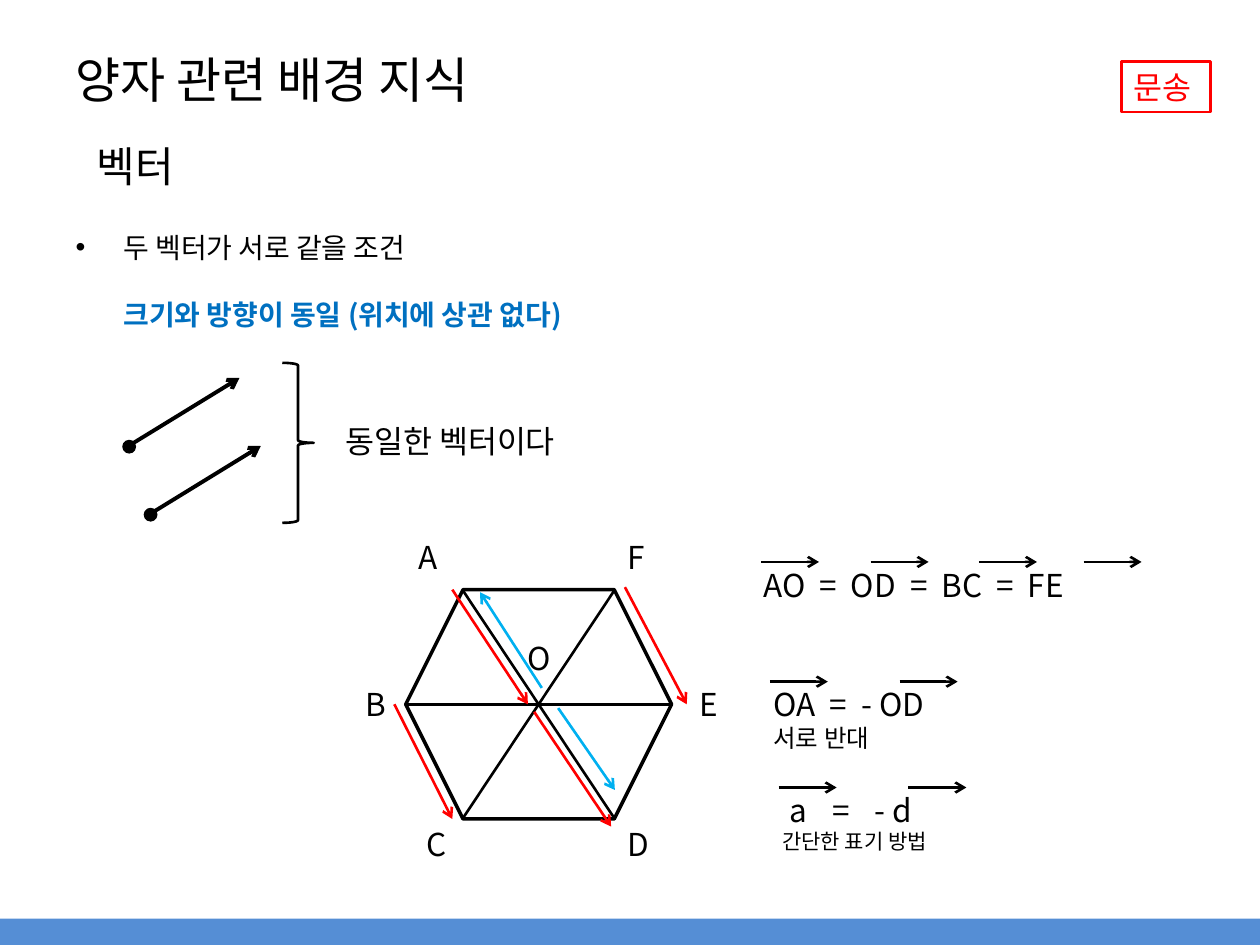
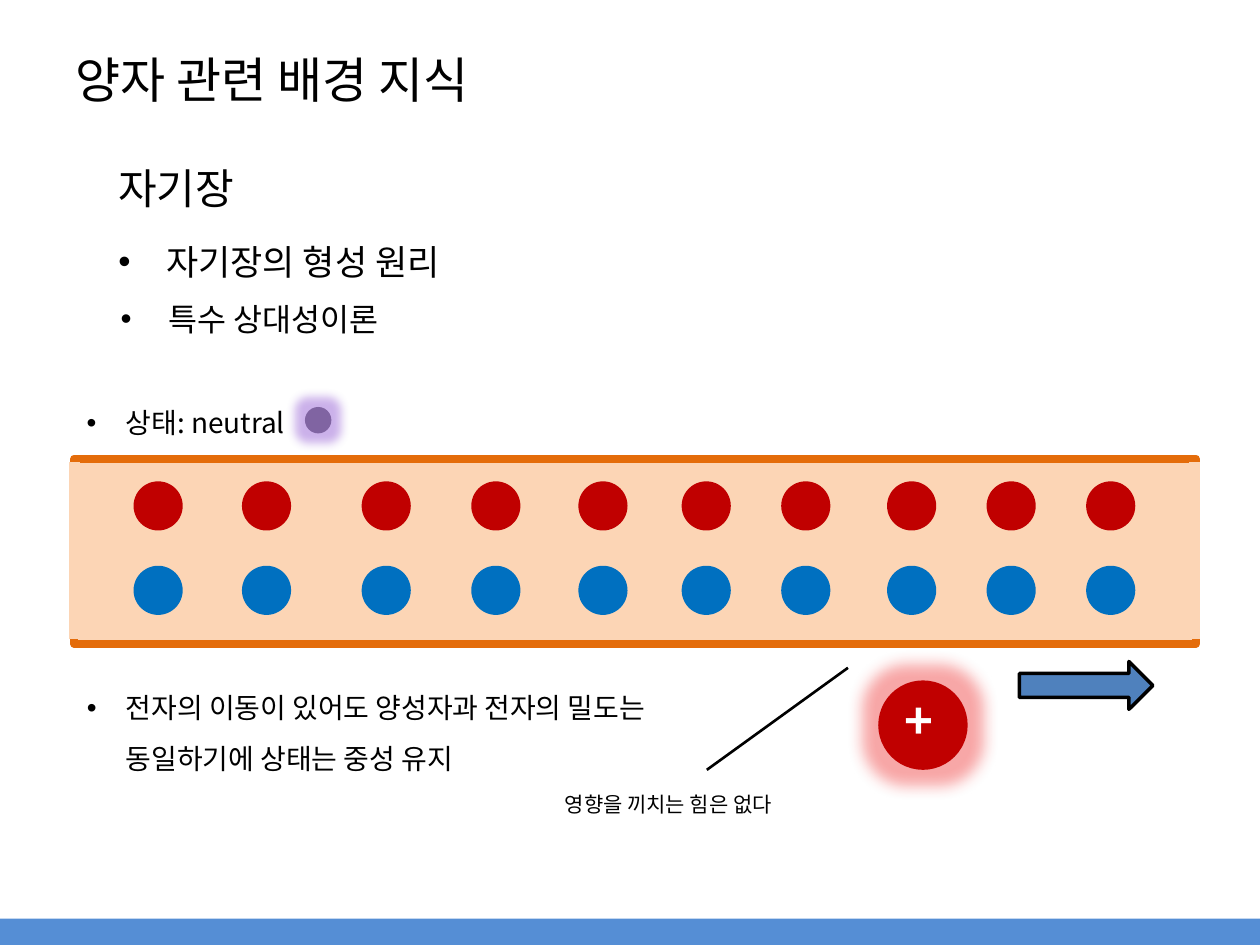
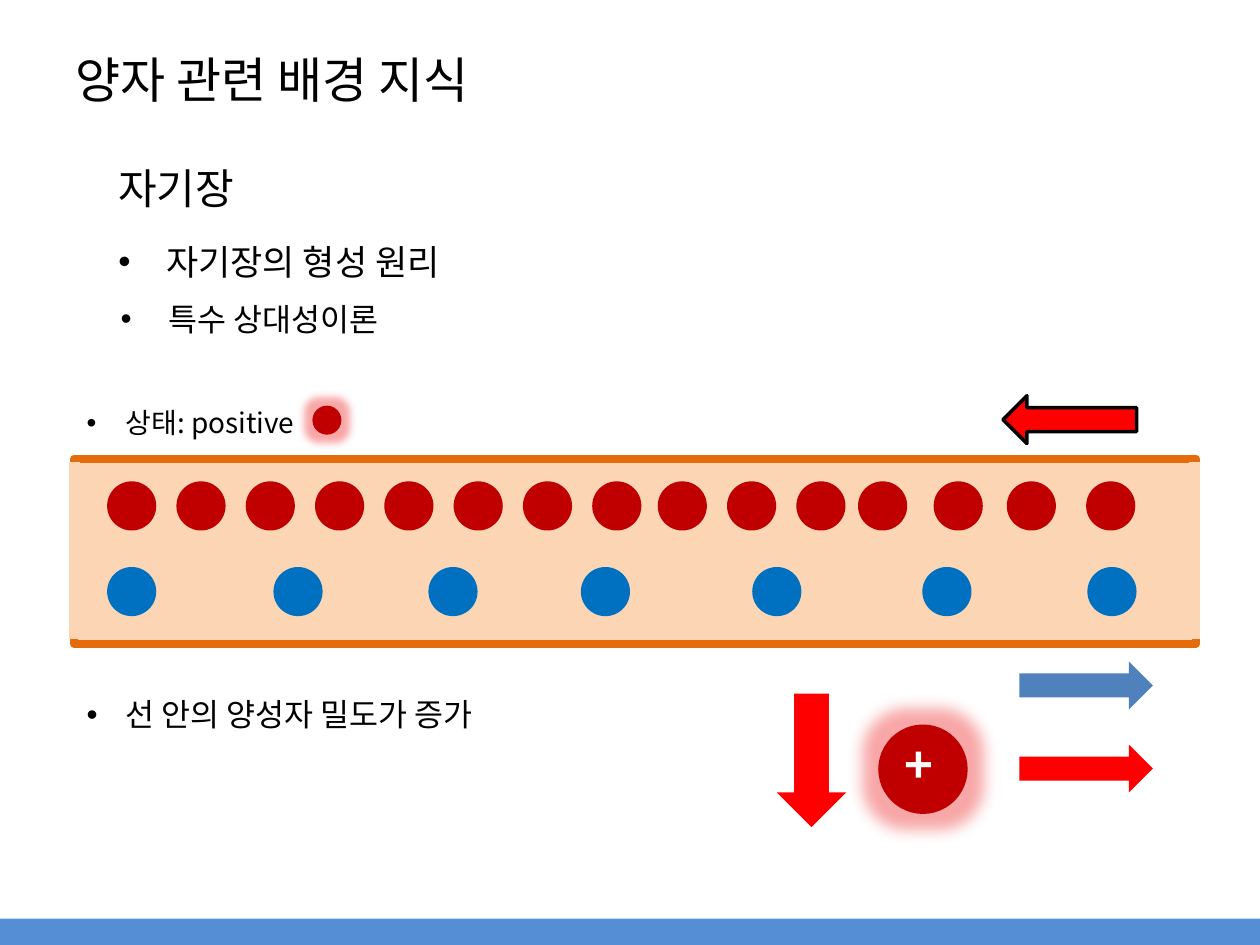
from dataclasses import dataclass
from typing import Optional

from lxml.etree import SubElement
from pptx import Presentation
from pptx.dml.color import RGBColor
from pptx.enum.shapes import MSO_CONNECTOR, MSO_SHAPE
from pptx.enum.text import MSO_ANCHOR, PP_ALIGN
from pptx.oxml.ns import qn
from pptx.util import Inches, Pt

FONT = "Noto Sans CJK KR"
BLACK = RGBColor(0x00, 0x00, 0x00)
WHITE = RGBColor(0xFF, 0xFF, 0xFF)
RED = RGBColor(0xFF, 0x00, 0x00)
BLUE = RGBColor(0x00, 0x70, 0xC0)
SKY = RGBColor(0x00, 0xB0, 0xF0)
BAND = RGBColor(0x55, 0x8E, 0xD5)
STEEL = RGBColor(0x4F, 0x81, 0xBD)
PROTON = RGBColor(0xC0, 0x00, 0x00)
NEUTRAL = RGBColor(0x80, 0x64, 0xA2)
WIRE = RGBColor(0xFC, 0xD5, 0xB5)
WIRE_EDGE = RGBColor(0xE4, 0x6C, 0x0A)
RED_GLOW = RGBColor(0xEE, 0x22, 0x22)
PURPLE_GLOW = RGBColor(0x7F, 0x3D, 0xCC)

TITLE = "양자 관련 배경 지식"
PARTICLE = 0.39


@dataclass(frozen=True)
class Para:
    text: str
    size: float
    color: RGBColor = BLACK
    bold: bool = False
    bullet: bool = False
    hang: float = 0.0
    first: float = 0.0
    equals_gap: float = 0.0  # extra points in the spaces beside each "="
    spacing: Optional[float] = None
    before: float = 0.0
    align: PP_ALIGN = PP_ALIGN.LEFT


@dataclass(frozen=True)
class Label:
    left: float
    top: float
    width: float
    height: float
    paras: tuple[Para, ...]


@dataclass(frozen=True)
class Line:
    x1: float
    y1: float
    x2: float
    y2: float
    color: RGBColor = BLACK
    width: float = 1.5
    arrow: bool = False


@dataclass(frozen=True)
class Shape:
    kind: MSO_SHAPE
    left: float
    top: float
    width: float
    height: float
    fill: Optional[RGBColor] = None
    line: Optional[RGBColor] = None
    line_width: float = 2
    rotation: float = 0
    glow: Optional[RGBColor] = None
    glow_radius: float = 0


# Shared drawing functions

def add_run(paragraph, text: str, para: Para, gap: float = 0) -> None:
    run = paragraph.add_run()
    run.text = text
    run.font.name = FONT
    run.font.size = Pt(para.size)
    run.font.bold = para.bold
    run.font.color.rgb = para.color
    props = run._r.get_or_add_rPr()
    SubElement(props, qn("a:ea"), typeface=FONT)
    if gap:
        props.set("spc", str(round(gap * 100)))


def write(frame, paras: tuple[Para, ...]) -> None:
    frame.word_wrap = True
    for index, para in enumerate(paras):
        paragraph = frame.paragraphs[0] if index == 0 else frame.add_paragraph()
        paragraph.alignment = para.align
        paragraph.space_before = Pt(para.before)
        if para.spacing:
            paragraph.line_spacing = para.spacing
        props = paragraph._p.get_or_add_pPr()
        first = -para.hang if para.bullet else para.first
        props.set("marL", str(Inches(para.hang)))
        props.set("indent", str(Inches(first)))
        if para.bullet:
            SubElement(props, qn("a:buFont"), typeface="Arial")
            SubElement(props, qn("a:buChar"), char="•")
        else:
            SubElement(props, qn("a:buNone"))
        terms = para.text.split(" = ")
        add_run(paragraph, terms[0], para)
        for term in terms[1:]:
            add_run(paragraph, " ", para, para.equals_gap)
            add_run(paragraph, "=", para)
            add_run(paragraph, " ", para, para.equals_gap)
            add_run(paragraph, term, para)


def place(shape, left: float, top: float, width: float, height: float) -> None:
    shape.left, shape.top = Inches(left), Inches(top)
    shape.width, shape.height = Inches(width), Inches(height)


def add_label(slide, label: Label):
    box = slide.shapes.add_textbox(Inches(label.left), Inches(label.top),
                                   Inches(label.width), Inches(label.height))
    write(box.text_frame, label.paras)
    return box


def add_line(slide, line: Line) -> None:
    connector = slide.shapes.add_connector(
        MSO_CONNECTOR.STRAIGHT, Inches(line.x1), Inches(line.y1),
        Inches(line.x2), Inches(line.y2))
    connector.line.color.rgb = line.color
    connector.line.width = Pt(line.width)
    if line.arrow:
        SubElement(connector.line._get_or_add_ln(), qn("a:tailEnd"), type="arrow")
    SubElement(connector._element.spPr, qn("a:effectLst"))


def add_shape(slide, part: Shape) -> None:
    shape = slide.shapes.add_shape(part.kind, Inches(part.left), Inches(part.top),
                                   Inches(part.width), Inches(part.height))
    shape.shadow.inherit = False
    shape.rotation = part.rotation
    if part.fill is None:
        shape.fill.background()
    else:
        shape.fill.solid()
        shape.fill.fore_color.rgb = part.fill
    if part.line is None:
        shape.line.fill.background()
    else:
        shape.line.color.rgb = part.line
        shape.line.width = Pt(part.line_width)
    if part.glow is not None:
        effects = shape._element.spPr.find(qn("a:effectLst"))
        glow = SubElement(effects, qn("a:glow"), rad=str(Pt(part.glow_radius)))
        color = SubElement(glow, qn("a:srgbClr"), val=str(part.glow))
        SubElement(color, qn("a:alpha"), val="40000")


def circle(left: float, top: float, size: float, fill: RGBColor,
           glow: Optional[RGBColor] = None, radius: float = 0) -> Shape:
    return Shape(MSO_SHAPE.OVAL, left, top, size, size, fill, glow=glow, glow_radius=radius)


def block_arrow(left: float, top: float, fill: RGBColor, line: Optional[RGBColor] = None,
                rotation: float = 0, height: float = 0.38) -> Shape:
    return Shape(MSO_SHAPE.RIGHT_ARROW, left, top, 1.06, height, fill, line, rotation=rotation)


def start_slide(deck, layout: int):
    slide = deck.slides.add_slide(deck.slide_layouts[layout])
    title = slide.shapes.title
    place(title, 0.5, 0, 9, 1.25)
    title.text_frame.vertical_anchor = MSO_ANCHOR.MIDDLE
    write(title.text_frame, (Para(TITLE, 28),))
    add_shape(slide, Shape(MSO_SHAPE.RECTANGLE, 0, 7.29, 10, 0.21, BAND))
    return slide


def add_vector_marks(slide, top: float, lefts: tuple[float, ...]) -> None:
    for left in lefts:
        add_line(slide, Line(left, top, left + 0.46, top, arrow=True))


# Slide 1: vectors

def build_vectors(deck) -> None:
    slide = start_slide(deck, 1)
    condition = slide.placeholders[1]
    place(condition, 0.5, 1.78, 9, 2.44)
    write(condition.text_frame, (
        Para("두 벡터가 서로 같을 조건", 16, bullet=True, hang=0.38),
        Para("크기와 방향이 동일 (위치에 상관 없다)", 16, BLUE, True, hang=0.38, before=19),
    ))
    add_label(slide, Label(0.67, 1.07, 2.52, 0.5, (Para("벡터", 24),)))
    tag = add_label(slide, Label(8.9, 0.49, 0.71, 0.4, (Para("문송", 18, RED),)))
    tag.line.color.rgb = RED
    tag.line.width = Pt(1.5)

    # Two equal vectors
    for x, y in ((1.02, 3.54), (1.19, 4.08)):
        add_line(slide, Line(x, y, x + 0.88, y - 0.54, width=2.25, arrow=True))
        add_shape(slide, circle(x - 0.05, y - 0.05, 0.11, BLACK))
    add_label(slide, Label(2.64, 3.3, 2.11, 0.4, (Para("동일한 벡터이다", 18),)))
    add_shape(slide, Shape(MSO_SHAPE.RIGHT_BRACE, 2.24, 2.88, 0.25, 1.27,
                           line=BLACK, line_width=1.5))

    # Hexagon with its diagonals and corner letters
    add_shape(slide, Shape(MSO_SHAPE.HEXAGON, 3.22, 4.68, 2.11, 1.82, line=BLACK))
    for ends in ((3.67, 4.68, 4.88, 6.5), (4.88, 4.68, 3.67, 6.5), (3.22, 5.59, 5.33, 5.59)):
        add_line(slide, Line(*ends))
    for letter, left, top in (("A", 3.22, 4.22), ("B", 2.8, 5.39), ("E", 5.45, 5.39),
                              ("D", 4.88, 6.5), ("F", 4.88, 4.22), ("C", 3.29, 6.5),
                              ("O", 4.09, 5.02)):
        add_label(slide, Label(left, top, 0.38, 0.4, (Para(letter, 18),)))

    # Equal vectors in red, opposite ones in sky blue
    for color, ends in ((RED, (3.59, 4.68, 4.19, 5.59)), (RED, (4.24, 5.65, 4.85, 6.56)),
                        (RED, (3.13, 5.59, 3.59, 6.5)), (RED, (4.96, 4.66, 5.45, 5.59)),
                        (SKY, (4.3, 5.46, 3.81, 4.7)), (SKY, (4.43, 5.62, 4.88, 6.27))):
        add_line(slide, Line(*ends, color=color, arrow=True))

    # Equations
    add_label(slide, Label(5.96, 4.44, 3.1, 0.4, (
        Para("AO = OD = BC = FE", 18, equals_gap=4),)))
    add_vector_marks(slide, 4.46, (6.04, 6.91, 7.77, 8.6))
    add_label(slide, Label(6.04, 5.39, 1.66, 0.64, (
        Para("OA = - OD", 18, equals_gap=4), Para("서로 반대", 14))))
    add_vector_marks(slide, 5.41, (6.11, 7.14))
    add_label(slide, Label(6.11, 6.23, 1.57, 0.91, (
        Para("a = - d", 18, first=0.06, equals_gap=10), Para("간단한 표기 방법", 12))))
    add_vector_marks(slide, 6.25, (6.18, 7.21))


# Slides 2 and 3: magnetic field

def start_field_slide(deck, state: str, protons: tuple[float, ...],
                      electrons: tuple[float, ...], electron_top: float, charge_top: float):
    slide = start_slide(deck, 5)

    # Wire with open ends
    add_shape(slide, Shape(MSO_SHAPE.RECTANGLE, 0.59, 3.64, 8.9, 1.47, WIRE, WIRE_EDGE, 4.5))
    for x in (9.48, 0.59):
        add_line(slide, Line(x, 3.67, x, 5.07, WIRE, 6))
    for lefts, top, color in ((protons, 3.82, PROTON), (electrons, electron_top, BLUE)):
        for left in lefts:
            add_shape(slide, circle(left, top, PARTICLE, color))

    # Headings and state
    add_label(slide, Label(0.84, 1.24, 2.52, 0.5, (Para("자기장", 24),)))
    add_label(slide, Label(0.84, 1.86, 4.01, 0.44, (
        Para("자기장의 형성 원리", 20, bullet=True, hang=0.38),)))
    add_label(slide, Label(0.86, 2.33, 4.01, 0.4, (
        Para("특수 상대성이론", 18, bullet=True, hang=0.38),)))
    add_label(slide, Label(0.59, 3.04, 2.06, 0.5, (
        Para(f"상태: {state}", 16, bullet=True, hang=0.31, spacing=1.5),)))

    # Positive test charge
    add_shape(slide, circle(6.97, charge_top, 0.71, PROTON, RED_GLOW, 18))
    add_label(slide, Label(7.08, charge_top + 0.03, 0.48, 0.57, (Para("+", 28, WHITE, True),)))
    return slide


def build_neutral(deck) -> None:
    columns = (1.06, 1.92, 2.87, 3.74, 4.59, 5.41, 6.2, 7.04, 7.83, 8.62)
    slide = start_field_slide(deck, "neutral", columns, columns, 4.49, 5.4)
    add_shape(slide, circle(2.42, 3.23, 0.21, NEUTRAL, PURPLE_GLOW, 11))
    add_label(slide, Label(0.59, 5.3, 5.21, 0.91, (
        Para("전자의 이동이 있어도 양성자과 전자의 밀도는 동일하기에 상태는 중성 유지",
             16, bullet=True, hang=0.31, spacing=1.5),)))
    add_label(slide, Label(4.14, 6.13, 2.33, 0.4, (
        Para("영향을 끼치는 힘은 없다", 12, spacing=1.5, align=PP_ALIGN.CENTER),)))
    add_line(slide, Line(6.73, 5.3, 5.61, 6.11))
    add_shape(slide, block_arrow(8.09, 5.25, STEEL, BLACK))


def build_positive(deck) -> None:
    even_protons = tuple(0.85 + 0.55 * i for i in range(8))
    protons = even_protons + (5.22, 5.77, 6.32, 6.81, 7.41, 7.99, 8.62)
    electrons = (0.85, 2.17, 3.4, 4.61, 5.97, 7.32, 8.63)
    slide = start_field_slide(deck, "positive", protons, electrons, 4.5, 5.75)
    add_shape(slide, circle(2.48, 3.22, 0.23, PROTON, RED_GLOW, 9))
    add_label(slide, Label(0.59, 5.32, 6.3, 0.5, (
        Para("선 안의 양성자 밀도가 증가", 18, bullet=True, hang=0.31, spacing=1.5),)))
    for arrow in (block_arrow(7.96, 3.14, RED, BLACK, 180),
                  block_arrow(8.09, 5.25, STEEL),
                  block_arrow(8.09, 5.91, RED),
                  block_arrow(5.91, 5.76, RED, rotation=90, height=0.55)):
        add_shape(slide, arrow)


def main() -> None:
    deck = Presentation()
    deck.slide_width, deck.slide_height = Inches(10), Inches(7.5)
    build_vectors(deck)
    build_neutral(deck)
    build_positive(deck)
    deck.save("out.pptx")


if __name__ == "__main__":
    main()
